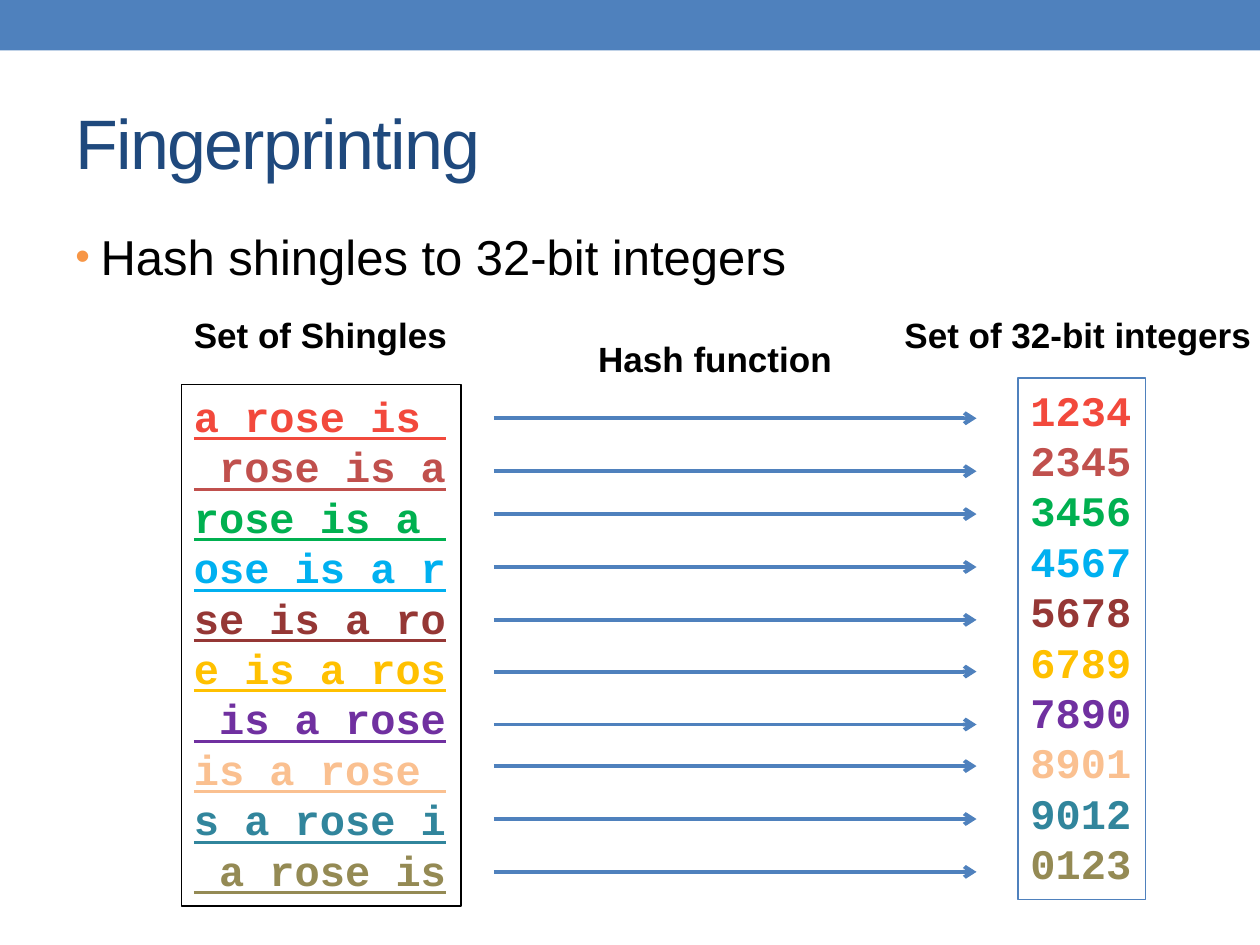
from lxml.etree import SubElement
from pptx import Presentation
from pptx.dml.color import RGBColor
from pptx.enum.shapes import MSO_CONNECTOR as Connector, MSO_SHAPE as Shape
from pptx.enum.text import MSO_ANCHOR as Anchor, PP_ALIGN as Align
from pptx.oxml.ns import qn
from pptx.util import Inches, Pt

BLUE = RGBColor(0x4F, 0x81, 0xBD)
NAVY = RGBColor(0x1F, 0x49, 0x7D)
ORANGE = RGBColor(0xF7, 0x96, 0x46)
BLACK = RGBColor(0, 0, 0)

FINGERPRINTS = [
    ("a rose is ", "1234", RGBColor(0xF2, 0x49, 0x3C)),
    (" rose is a", "2345", RGBColor(0xC0, 0x50, 0x4D)),
    ("rose is a ", "3456", RGBColor(0x00, 0xB0, 0x50)),
    ("ose is a r", "4567", RGBColor(0x00, 0xB0, 0xF0)),
    ("se is a ro", "5678", RGBColor(0x95, 0x37, 0x35)),
    ("e is a ros", "6789", RGBColor(0xFF, 0xC0, 0x00)),
    (" is a rose", "7890", RGBColor(0x70, 0x30, 0xA0)),
    ("is a rose ", "8901", RGBColor(0xFA, 0xC0, 0x90)),
    ("s a rose i", "9012", RGBColor(0x31, 0x85, 0x9C)),
    (" a rose is", "0123", RGBColor(0x94, 0x8A, 0x54)),
]
ARROW_HEIGHTS = [3.32, 3.74, 4.08, 4.5, 4.92, 5.33, 5.75, 6.08, 6.5, 6.92]


class SlideBuilder:
    text_font = "Arial"
    code_font = "Courier New"

    def __init__(self, slide):
        self.slide = slide

    def rectangle(self, left, top, width, height, fill=None, line=None):
        box = self.slide.shapes.add_shape(
            Shape.RECTANGLE, Inches(left), Inches(top), Inches(width), Inches(height))
        box.shadow.inherit = False
        if fill is None:
            box.fill.background()
        else:
            box.fill.solid()
            box.fill.fore_color.rgb = fill
        if line is None:
            box.line.fill.background()
        else:
            box.line.color.rgb = line
            box.line.width = Pt(0.75)
        return box

    def style(self, paragraph, size, color, font=text_font, bold=False, underline=False):
        for run in paragraph.runs:
            run.font.name = font
            run.font.size = Pt(size)
            run.font.color.rgb = color
            run.font.bold = bold
            run.font.underline = underline

    def text(self, words, left, top, width, height, size, color=BLACK,
             bold=False, wrap=True, anchor=Anchor.TOP, align=Align.LEFT):
        box = self.slide.shapes.add_textbox(
            Inches(left), Inches(top), Inches(width), Inches(height))
        frame = box.text_frame
        frame.word_wrap = wrap
        frame.vertical_anchor = anchor
        frame.text = words
        paragraph = frame.paragraphs[0]
        paragraph.alignment = align
        self.style(paragraph, size, color, bold=bold)
        return paragraph

    def title(self, words):
        heading = self.text(words, 0.5, 0.58, 9, 1.08, 40, NAVY, anchor=Anchor.MIDDLE)
        heading.runs[0].font._element.set("spc", "-100")

    def bullet(self, words):
        point = self.text(words, 0.5, 1.75, 9, 5.33, 28)
        point.space_before = Pt(5.6)
        properties = point._p.get_or_add_pPr()
        properties.set("marL", str(Inches(0.2)))
        properties.set("indent", str(-Inches(0.2)))
        color = SubElement(properties, qn("a:buClr"))
        SubElement(color, qn("a:srgbClr"), val=str(ORANGE))
        SubElement(properties, qn("a:buSzPct"), val="85000")
        SubElement(properties, qn("a:buFont"), typeface=self.text_font)
        SubElement(properties, qn("a:buChar"), char="•")

    def label(self, words, left, top, width, height=0.44, align=Align.LEFT):
        self.text(words, left, top, width, height, 20, bold=True, wrap=False, align=align)

    def code_list(self, entries, colors, left, top, width, line, underline=False):
        frame = self.rectangle(left, top, width, 4.14, line=line).text_frame
        frame.word_wrap = False
        frame.vertical_anchor = Anchor.TOP
        frame.text = "\n".join(entries)
        for paragraph, color in zip(frame.paragraphs, colors):
            paragraph.alignment = Align.LEFT
            self.style(paragraph, 24, color, self.code_font, True, underline)

    def arrow(self, start, end, height):
        arrow = self.slide.shapes.add_connector(
            Connector.STRAIGHT, Inches(start), Inches(height), Inches(end), Inches(height))
        arrow.line.color.rgb = BLUE
        arrow.line.width = Pt(2.25)
        SubElement(arrow.line._get_or_add_ln(), qn("a:tailEnd"), type="arrow")
        SubElement(arrow._element.spPr, qn("a:effectLst"))


def main():
    deck = Presentation()
    deck.slide_width, deck.slide_height = Inches(10), Inches(7.5)
    builder = SlideBuilder(deck.slides.add_slide(deck.slide_layouts[6]))
    shingles, integers, colors = zip(*FINGERPRINTS)

    builder.rectangle(0, 0, 10, 0.4, fill=BLUE)
    builder.title("Fingerprinting")
    builder.bullet("Hash shingles to 32-bit integers")
    builder.code_list(shingles, colors, 1.44, 3.05, 2.22, BLACK, underline=True)
    builder.code_list(integers, colors, 8.08, 3, 1.01, BLUE)
    builder.label("Set of Shingles", 1.44, 2.44, 2.23)
    builder.label("Set of 32-bit integers", 7.08, 2.44, 2.97)
    builder.label("Hash function", 4.64, 2.63, 2.07, 0.71, Align.CENTER)
    for height in ARROW_HEIGHTS:
        builder.arrow(3.92, 7.75, height)

    deck.save("out.pptx")


if __name__ == "__main__":
    main()
